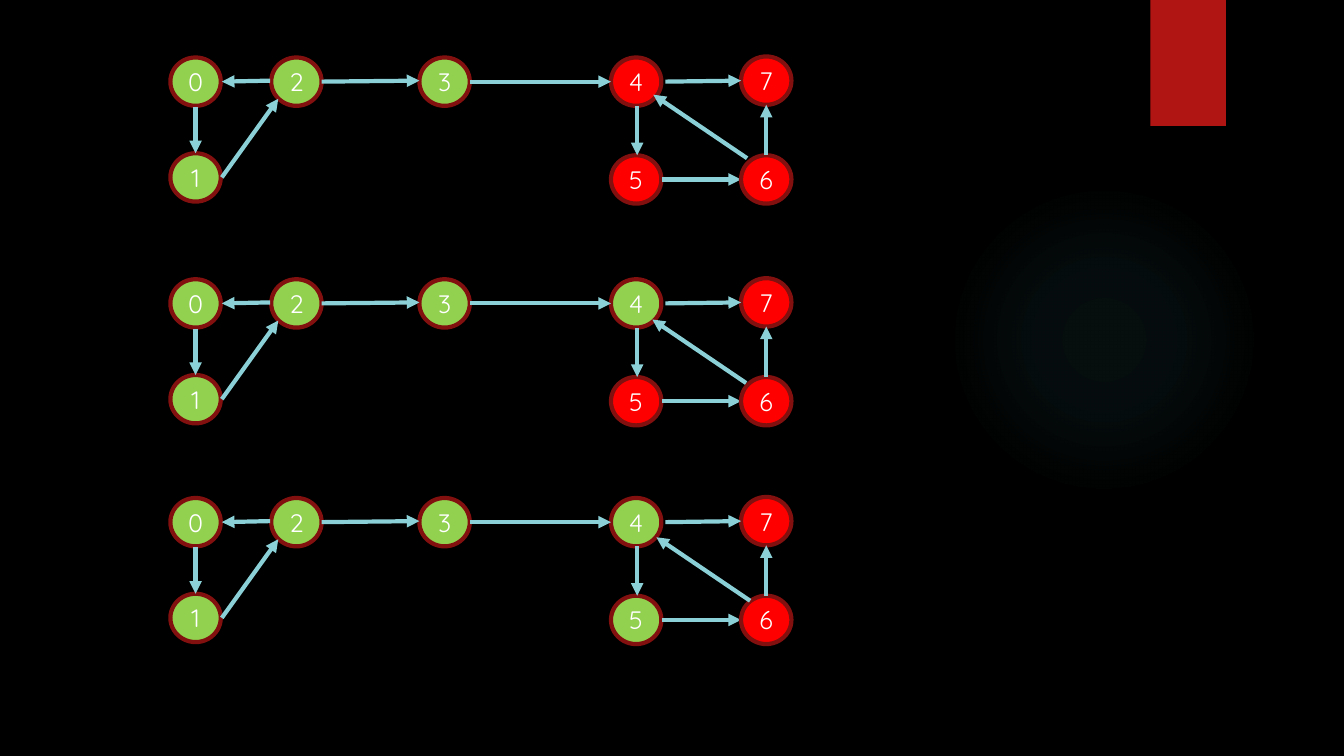
"""Build a slide showing three stages of a directed graph traversal."""
import pptx
import pptx.dml.color
import pptx.enum.shapes
import pptx.enum.text
import pptx.oxml
import pptx.oxml.ns
import pptx.util
from lxml import etree

Inches = pptx.util.Inches
RGBColor = pptx.dml.color.RGBColor
SHAPE = pptx.enum.shapes.MSO_SHAPE

BLACK = RGBColor(0x00, 0x00, 0x00)
WHITE = RGBColor(0xFF, 0xFF, 0xFF)
GREEN = RGBColor(0x92, 0xD0, 0x50)
RED = RGBColor(0xFF, 0x00, 0x00)
DARK_RED = RGBColor(0x82, 0x10, 0x0E)
RIBBON_RED = RGBColor(0xB0, 0x15, 0x13)
ARROW_BLUE = RGBColor(0x8A, 0xD0, 0xD6)
GLOW_TEAL = RGBColor(0x50, 0xB9, 0xC1)

NODE_WIDTH, NODE_HEIGHT = 0.5, 0.48
GROUPED_NODES = {
    "0": (1.69, 0.57), "2": (2.69, 0.57), "1": (1.69, 1.52),
    "4": (6.06, 0.57), "3": (4.16, 0.57), "5": (6.06, 1.54),
}
OUTER_NODES = {"6": (7.35, 1.54), "7": (7.35, 0.56)}
GROUPED_ARROWS = [
    (2.68, 0.80, 2.20, 0.81), (1.94, 1.06, 1.94, 1.52),
    (2.20, 1.76, 2.76, 0.98), (3.19, 0.81, 4.16, 0.80),
    (4.66, 0.81, 6.06, 0.81), (6.57, 1.78, 7.35, 1.78),
    (6.32, 1.05, 6.32, 1.54),
]
OUTER_ARROWS = [(7.60, 1.54, 7.60, 1.04), (6.60, 0.81, 7.35, 0.80)]
STAGES = [
    (0, "0123", (7.41, 1.57)),
    (2.2, "01234", (7.40, 3.80)),
    (4.37, "012345", (7.44, 5.96)),
]


def write_text(shape, text, size=18, font="Quicksand", color=WHITE):
    frame = shape.text_frame
    frame.margin_left = frame.margin_right = 0
    frame.margin_top = frame.margin_bottom = 0
    frame.vertical_anchor = pptx.enum.text.MSO_ANCHOR.MIDDLE
    paragraph = frame.paragraphs[0]
    paragraph.alignment = pptx.enum.text.PP_ALIGN.CENTER
    run = paragraph.add_run()
    run.text = text
    run.font.size = pptx.util.Pt(size)
    run.font.name = font
    run.font.color.rgb = color


class GraphSlide:
    def __init__(self, presentation):
        self.slide = presentation.slides.add_slide(presentation.slide_layouts[6])
        self.slide.background.fill.solid()
        self.slide.background.fill.fore_color.rgb = BLACK
        self.line_width = pptx.util.Pt(3)

    def block(self, shapes, kind, left, top, width, height, color):
        shape = shapes.add_shape(
            kind, Inches(left), Inches(top), Inches(width), Inches(height))
        shape.shadow.inherit = False
        shape.fill.solid()
        shape.fill.fore_color.rgb = color
        shape.line.fill.background()
        return shape

    def glow(self, left, top, size):
        shape = self.block(
            self.slide.shapes, SHAPE.OVAL, left, top, size, size, GLOW_TEAL)
        stops = "".join(
            f'<a:gs pos="{position * 1000}"><a:srgbClr val="{GLOW_TEAL}">'
            f'<a:alpha val="{alpha * 1000}"/></a:srgbClr></a:gs>'
            for position, alpha in ((0, 7), (36, 6), (69, 0)))
        gradient = pptx.oxml.parse_xml(
            f'<a:gradFill {pptx.oxml.ns.nsdecls("a")}><a:gsLst>{stops}</a:gsLst>'
            '<a:path path="circle"><a:fillToRect l="50000" t="50000" '
            'r="50000" b="50000"/></a:path></a:gradFill>')
        properties = shape._element.spPr
        solid = properties.find(pptx.oxml.ns.qn("a:solidFill"))
        properties.replace(solid, gradient)

    def node(self, shapes, label, left, top, color):
        shape = self.block(
            shapes, SHAPE.OVAL, left, top, NODE_WIDTH, NODE_HEIGHT, color)
        shape.line.color.rgb = DARK_RED
        shape.line.width = self.line_width
        write_text(shape, label)

    def arrow(self, shapes, start_x, start_y, end_x, end_y):
        connector = shapes.add_connector(
            pptx.enum.shapes.MSO_CONNECTOR.STRAIGHT,
            Inches(start_x), Inches(start_y), Inches(end_x), Inches(end_y))
        connector.line.color.rgb = ARROW_BLUE
        connector.line.width = self.line_width
        qn = pptx.oxml.ns.qn
        etree.SubElement(
            connector.line._get_or_add_ln(), qn("a:tailEnd"), type="triangle")
        etree.SubElement(connector._element.spPr, qn("a:effectLst"))

    def stage(self, offset, visited, diagonal_start):
        outer = self.slide.shapes
        group = outer.add_group_shape().shapes
        for shapes, nodes, arrows in (
                (group, GROUPED_NODES, GROUPED_ARROWS),
                (outer, OUTER_NODES, OUTER_ARROWS)):
            for label, (left, top) in nodes.items():
                color = GREEN if label in visited else RED
                self.node(shapes, label, left, top + offset, color)
            for start_x, start_y, end_x, end_y in arrows:
                self.arrow(
                    shapes, start_x, start_y + offset, end_x, end_y + offset)
        left, top = diagonal_start
        self.arrow(outer, left, top, left - 0.93, top - 0.63)


def main():
    presentation = pptx.Presentation()
    presentation.slide_width = Inches(13.33)
    presentation.slide_height = Inches(7.5)
    graph = GraphSlide(presentation)
    graph.glow(9.41, 1.83, 3.08)
    graph.block(
        graph.slide.shapes, SHAPE.RECTANGLE, 11.41, 0, 0.75, 1.25, RIBBON_RED)
    for offset, visited, diagonal_start in STAGES:
        graph.stage(offset, visited, diagonal_start)
    presentation.save("out.pptx")


if __name__ == "__main__":
    main()
